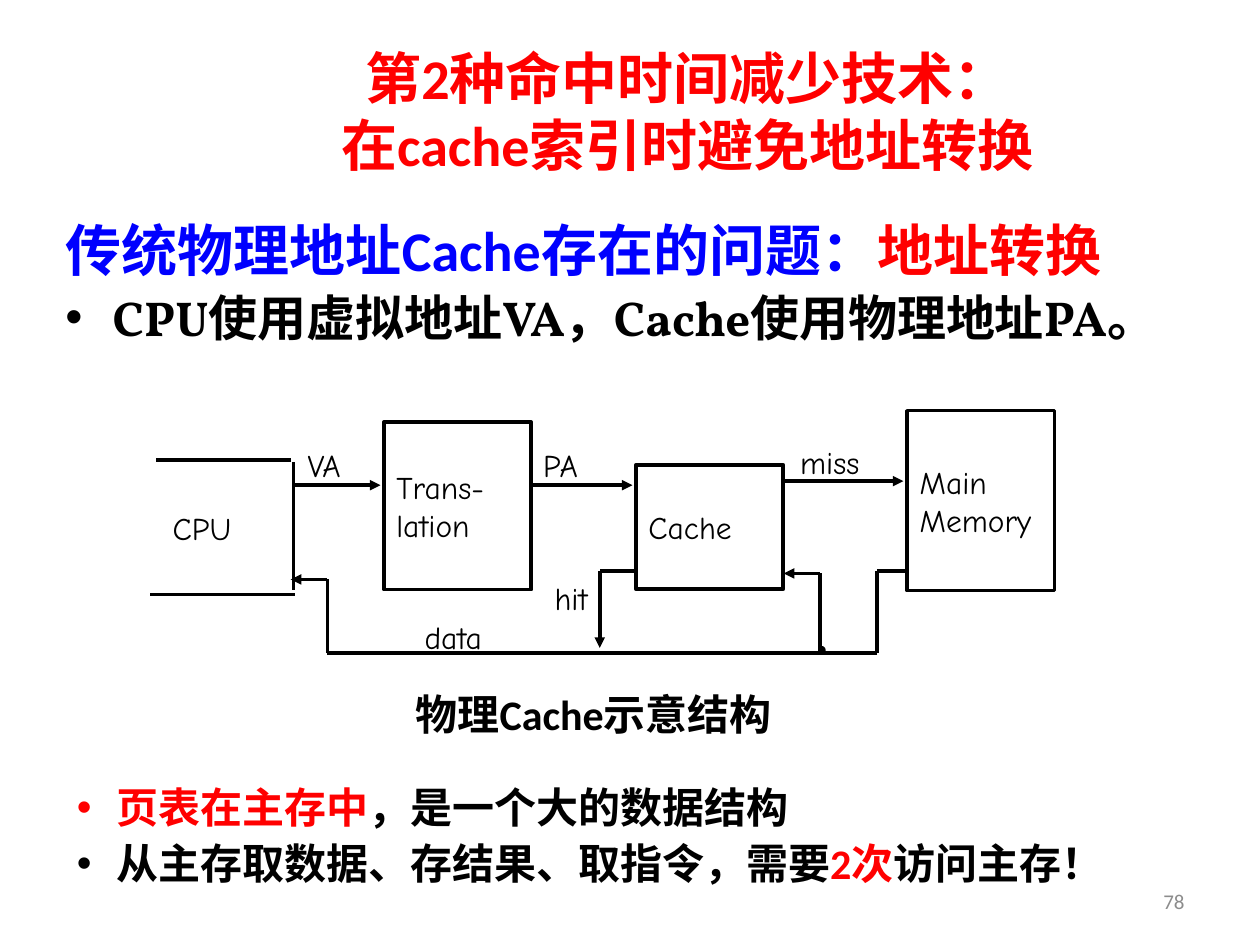
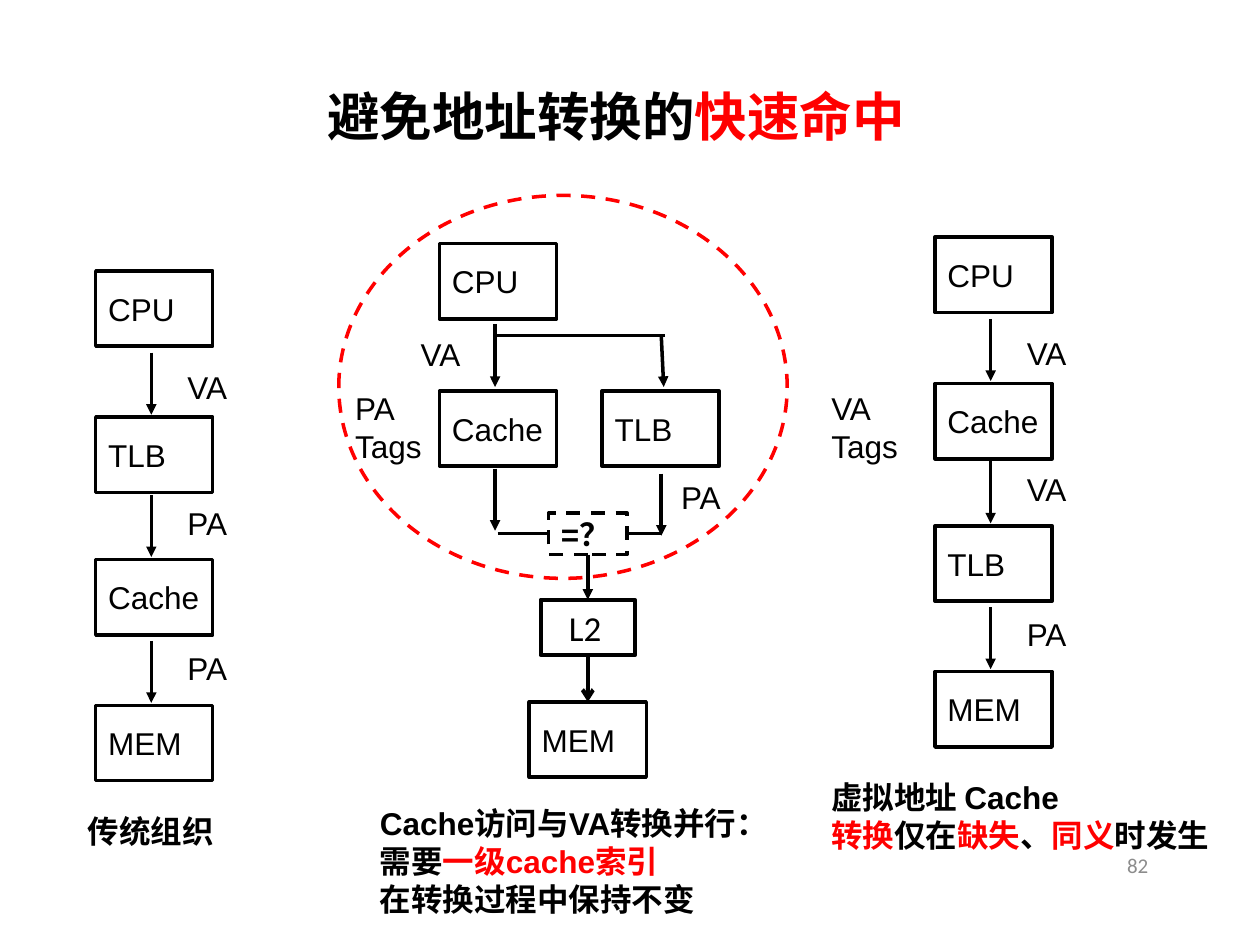
from dataclasses import dataclass
from itertools import pairwise
from typing import Any

from lxml import etree
from pptx import Presentation
from pptx.dml.color import RGBColor
from pptx.enum.dml import MSO_LINE
from pptx.enum.shapes import MSO_CONNECTOR, MSO_SHAPE
from pptx.enum.text import MSO_ANCHOR, MSO_AUTO_SIZE, PP_ALIGN
from pptx.oxml.ns import qn
from pptx.util import Cm, Pt

BLACK = RGBColor(0x00, 0x00, 0x00)
WHITE = RGBColor(0xFF, 0xFF, 0xFF)
RED = RGBColor(0xFF, 0x00, 0x00)
BLUE = RGBColor(0x00, 0x00, 0xFF)
STEEL = RGBColor(0x4F, 0x81, 0xBD)
GRAY = RGBColor(0x8C, 0x8C, 0x8C)

RECT, OVAL = MSO_SHAPE.RECTANGLE, MSO_SHAPE.OVAL
STRAIGHT = MSO_CONNECTOR.STRAIGHT
DASH = MSO_LINE.DASH
TOP, MIDDLE = MSO_ANCHOR.TOP, MSO_ANCHOR.MIDDLE
LEFT, CENTER, RIGHT = PP_ALIGN.LEFT, PP_ALIGN.CENTER, PP_ALIGN.RIGHT
FIXED, GROW = MSO_AUTO_SIZE.NONE, MSO_AUTO_SIZE.SHAPE_TO_FIT_TEXT

SANS, HAND, SERIF = "Calibri", "Comic Neue", "Vollkorn"
NODE_W, NODE_H = 2.36, 1.52
HEAD_SIZE = 32


def write(shape, paras, size=18, font="Arial", color=BLACK, bold=False,
          align=LEFT, anchor=TOP, wrap=False, fit=FIXED, pad=(0.25, 0.13),
          lead=None):
    """Fill a shape; a paragraph is a string or a list of (text, format) runs."""
    frame = shape.text_frame
    frame.word_wrap = wrap
    frame.auto_size = fit
    frame.vertical_anchor = anchor
    frame.margin_left = frame.margin_right = Cm(pad[0])
    frame.margin_top = frame.margin_bottom = Cm(pad[1])
    for i, runs in enumerate(paras):
        para = frame.add_paragraph() if i else frame.paragraphs[0]
        para.alignment = align
        para.space_before = Pt(0)
        if lead:
            para.line_spacing = lead
        for text, form in [(runs, {})] if isinstance(runs, str) else runs:
            for j, line in enumerate(text.split("\n")):
                if j:
                    para.add_line_break()
                run = para.add_run()
                run.text = line
                run.font.size = Pt(form.get("size", size))
                run.font.name = form.get("font", font)
                run.font.color.rgb = form.get("color", color)
                run.font.bold = bold
    return shape


def place(shape, x, y, w, h):
    shape.left, shape.top, shape.width, shape.height = map(Cm, (x, y, w, h))
    return shape


def hang(para, depth, bullet=True):
    """Set a hanging indent in cm, and drop the bullet if asked."""
    props = para._p.get_or_add_pPr()
    props.set("marL", str(Cm(depth)))
    props.set("indent", str(-Cm(depth)))
    if not bullet:
        etree.SubElement(props, qn("a:buNone"))


@dataclass
class Area:
    """A region of a slide, with lengths in cm from its top left corner."""
    shapes: Any
    x: float
    y: float

    def shape(self, kind, x, y, w, h, fill=None, line=BLACK, width=2, dash=None):
        item = self.shapes.add_shape(kind, Cm(self.x + x), Cm(self.y + y),
                                     Cm(w), Cm(h))
        item.shadow.inherit = False
        if fill is None:
            item.fill.background()
        else:
            item.fill.solid()
            item.fill.fore_color.rgb = fill
        item.line.color.rgb = line
        item.line.width = Pt(width)
        if dash:
            item.line.dash_style = dash
        return item

    def node(self, text, x, y):
        return write(self.shape(RECT, x, y, NODE_W, NODE_H, WHITE), [text],
                     anchor=MIDDLE)

    def label(self, paras, x, y, w=1.4, h=1.04, **form):
        item = self.shapes.add_textbox(Cm(self.x + x), Cm(self.y + y),
                                       Cm(w), Cm(h))
        return write(item, paras, **{"fit": GROW, **form})

    def line(self, start, end, head=None, width=2):
        ends = [Cm(v) for x, y in (start, end) for v in (self.x + x, self.y + y)]
        item = self.shapes.add_connector(STRAIGHT, *ends)
        item.line.color.rgb = BLACK
        item.line.width = Pt(width)
        if head:
            etree.SubElement(item.line._get_or_add_ln(), qn("a:tailEnd"),
                             type=head)
        etree.SubElement(item._element.spPr, qn("a:effectLst"))
        return item

    def route(self, *points):
        """Draw a bent line whose last leg ends in an arrow."""
        legs = list(pairwise(points))
        for i, (start, end) in enumerate(legs, 1):
            self.line(start, end, "triangle" if i == len(legs) else None)

    def join(self, upper, lower, head="triangle", width=2):
        item = self.line((0, 0), (0, 0), head, width)
        item.begin_connect(upper, 2)
        item.end_connect(lower, 0)


def head(slide, box, runs, size):
    write(place(slide.shapes.title, *box), [runs], size=size, font=SANS,
          bold=True, align=CENTER, anchor=MIDDLE, wrap=True)


def page(slide, number, x, y):
    Area(slide.shapes, x, y).label([number], 0, 0, 5.92, 1.02, size=12, font=SANS,
                                   color=GRAY, align=RIGHT, anchor=MIDDLE,
                                   wrap=True, fit=FIXED)


def intro(shape, box):
    write(place(shape, *box), [
        [("传统物理地址Cache存在的问题：", {"color": BLUE}),
         ("地址转换", {"color": RED})],
        [("CPU使用虚拟地址VA，Cache使用物理地址PA。",
          {"size": 28, "font": SERIF})],
    ], size=32, font=SANS, bold=True, wrap=True, lead=Pt(30))
    first, second = shape.text_frame.paragraphs
    second.space_before = Pt(6)
    hang(first, 0.95, bullet=False)
    hang(second, 0.95)


def notes(shape, box):
    write(place(shape, *box), [
        [("页表在主存中", {"color": RED}), ("，是一个大的数据结构", {})],
        [("从主存取数据、存结果、取指令，需要", {}), ("2次", {"color": RED}),
         ("访问主存！", {})],
    ], size=24, font=SANS, bold=True, wrap=True, lead=Pt(32))
    for para in shape.text_frame.paragraphs:
        hang(para, 0.79)


def flow(slide, x, y):
    """Draw the path of an address through a physical cache."""
    area = Area(slide.shapes.add_group_shape().shapes, x, y)
    for start, end in (((0.13, 0.99), (2.84, 0.99)),
                       ((2.9, 1.04), (2.9, 3.61)),
                       ((2.92, 3.71), (0, 3.71))):
        area.line(start, end)
    for paras, left, top, high in ((["Trans-", "lation"], 4.72, 0.23, 3.38),
                                   (["Cache"], 9.8, 1.09, 2.51),
                                   (["Main", "Memory"], 15.27, 0, 3.63)):
        write(area.shape(RECT, left, top, 2.97, high), paras, font=HAND,
              anchor=MIDDLE)
    area.route((2.92, 1.5), (4.65, 1.5))
    area.route((7.7, 1.5), (9.73, 1.5))
    area.route((12.8, 1.42), (15.19, 1.42))
    area.route((15.27, 3.23), (14.66, 3.23), (14.66, 4.88), (3.58, 4.88),
               (3.58, 3.4), (2.84, 3.4))
    area.route((13.51, 4.88), (13.51, 3.28), (12.78, 3.28))
    area.route((9.8, 3.23), (9.07, 3.23), (9.07, 4.78))
    area.shape(OVAL, 13.51, 4.78, 0.08, 0.1, STEEL)
    for text, left, top, wide in (("CPU", 0.28, 2.01, 1.55),
                                  ("VA", 3, 0.74, 1.24),
                                  ("PA", 7.75, 0.74, 1.14),
                                  ("miss", 12.93, 0.69, 1.65),
                                  ("hit", 7.98, 3.43, 1.19),
                                  ("data", 5.36, 4.22, 1.73)):
        area.label([text], left, top, wide, 0.79, font=HAND, lead=0.85,
                   pad=(0.18, 0.08))


def chain(area, names, tags):
    """Stack four nodes with a labelled arrow between each pair."""
    tops = (0, 2.95, 5.82, 8.76)
    for name, top in zip(names, tops):
        area.node(name, 0, top)
    for tag, top, high in zip(tags, tops[1:], (1.83, 4.57, 7.49)):
        area.route((1.12, top - 1.3), (1.12, top - 0.05))
        area.label([tag], 1.6, high)


def split(area):
    """Draw the cache and the TLB working side by side."""
    area.node("CPU", 2.03, 0.97)
    area.node("Cache", 2.03, 3.94)
    area.node("TLB", 5.31, 3.94)
    mem = area.node("MEM", 3.84, 10.21)
    for start, end in (((3.15, 2.59), (3.15, 3.86)),
                       ((3.15, 5.51), (3.15, 6.76)),
                       ((6.5, 2.82), (6.55, 3.86)),
                       ((6.5, 5.61), (6.5, 6.86))):
        area.route(start, end)
    area.line((6.58, 2.82), (3.12, 2.82))
    area.line((3.2, 6.81), (6.5, 6.81))
    test = write(area.shape(RECT, 4.23, 6.4, 1.58, 0.84, WHITE, dash=DASH),
                 ["=？"], bold=True, anchor=MIDDLE)
    level = write(area.shape(RECT, 4.07, 8.15, 1.9, 1.12, WHITE, width=2.25),
                  ["L2"], size=20, font=SANS, pad=(0.57, 0.13))
    area.join(test, level)
    area.join(level, mem, "arrow", 2.25)
    area.label(["VA"], 1.4, 2.69)
    area.label(["PA"], 6.65, 5.56)
    area.label(["PA", "Tags"], 0.08, 3.78, 1.96, 1.8)
    area.label([
        "Cache访问与VA转换并行：",
        [("需要", {}), ("一级cache索引", {"color": RED})],
        "在转换过程中保持不变",
    ], 0.58, 12.14, 8.43, 2.57, bold=True)
    area.shape(OVAL, 0, 0, 9.04, 7.72, line=RED, dash=DASH)


def build_first(deck):
    slide = deck.slides.add_slide(deck.slide_layouts[3])
    head(slide, (2.97, 0.64, 21.79, 3.18),
         [("第2种命中时间减少技术：\n在cache索引时避免地址转换", {"color": RED})],
         HEAD_SIZE)
    intro(slide.placeholders[1], (1.07, 4.52, 24.33, 3.2))
    flow(slide, 3.02, 8.28)
    Area(slide.shapes, 8.13, 13.74).label(["物理Cache示意结构"], 0, 0, 9.37, 1.27,
                                          size=24, font=SANS, bold=True, wrap=True)
    notes(slide.placeholders[2], (1.3, 15.52, 22.81, 2.54))
    page(slide, "78", 18.21, 17.65)


def build_second(deck):
    slide = deck.slides.add_slide(deck.slide_layouts[5])
    head(slide, (1.14, 0.74, 22.56, 3.18),
         [("避免地址转换的", {}), ("快速命中", {"color": RED})], HEAD_SIZE - 2)
    old = Area(slide.shapes, 1.93, 5.46)
    chain(old, ("CPU", "TLB", "Cache", "MEM"), ("VA", "PA", "PA"))
    old.label(["传统组织"], -0.41, 10.78, 3.07, 1.02, bold=True)
    split(Area(slide.shapes, 6.83, 3.94))
    new = Area(slide.shapes, 18.85, 4.78)
    chain(new, ("CPU", "Cache", "TLB", "MEM"), ("VA", "VA", "PA"))
    new.label(["VA", "Tags"], -2.34, 2.94, 1.96, 1.8)
    new.label([
        "虚拟地址 Cache",
        [("转换", {"color": RED}), ("仅在", {}), ("缺失", {"color": RED}),
         ("、", {}), ("同义", {"color": RED}), ("时发生", {})],
    ], -2.34, 10.78, 8.25, 1.78, bold=True)
    page(slide, "82", 17.48, 16.94)


def main():
    deck = Presentation()
    deck.slide_width, deck.slide_height = Cm(25.4), Cm(19.05)
    build_first(deck)
    build_second(deck)
    deck.save("out.pptx")


if __name__ == "__main__":
    main()
